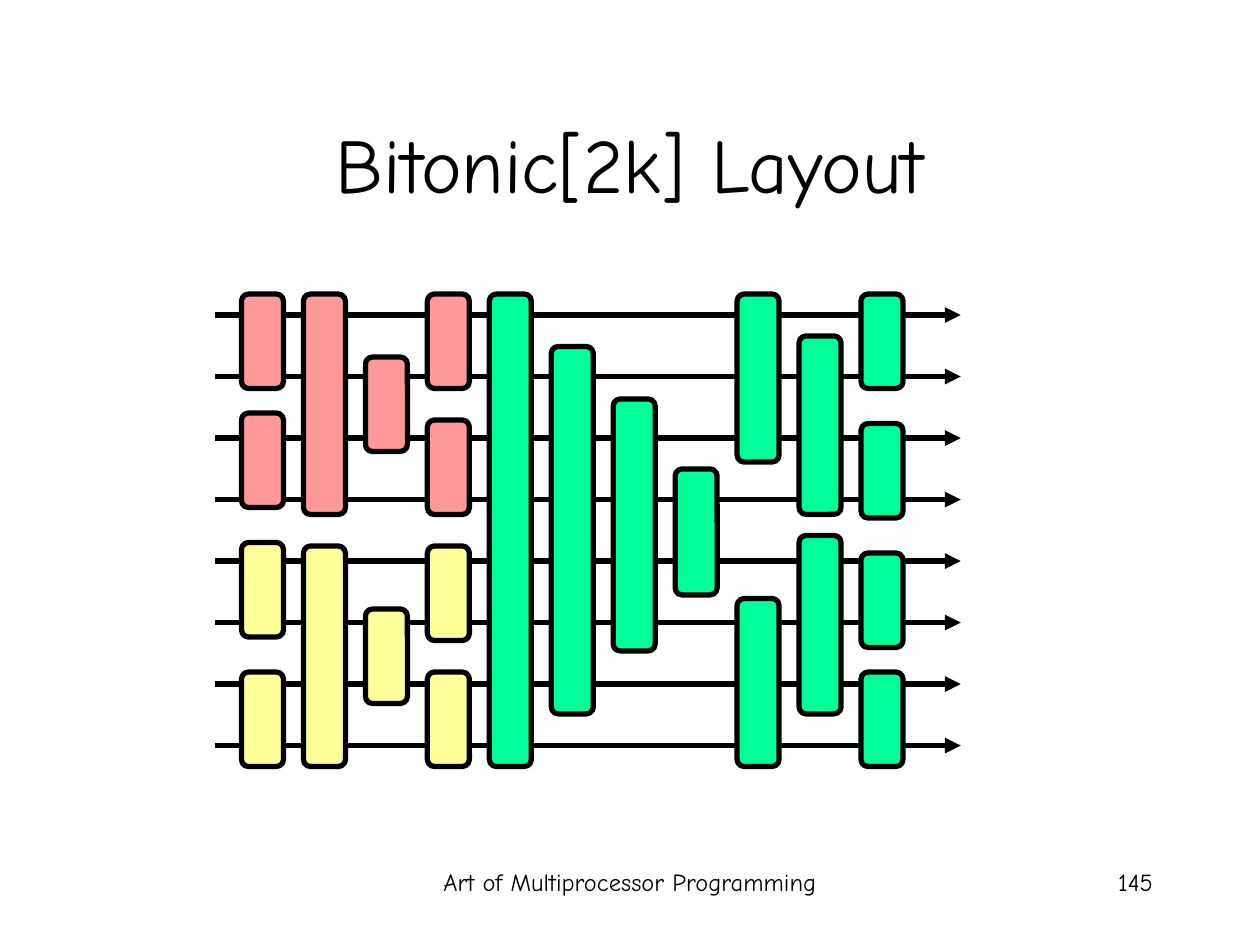
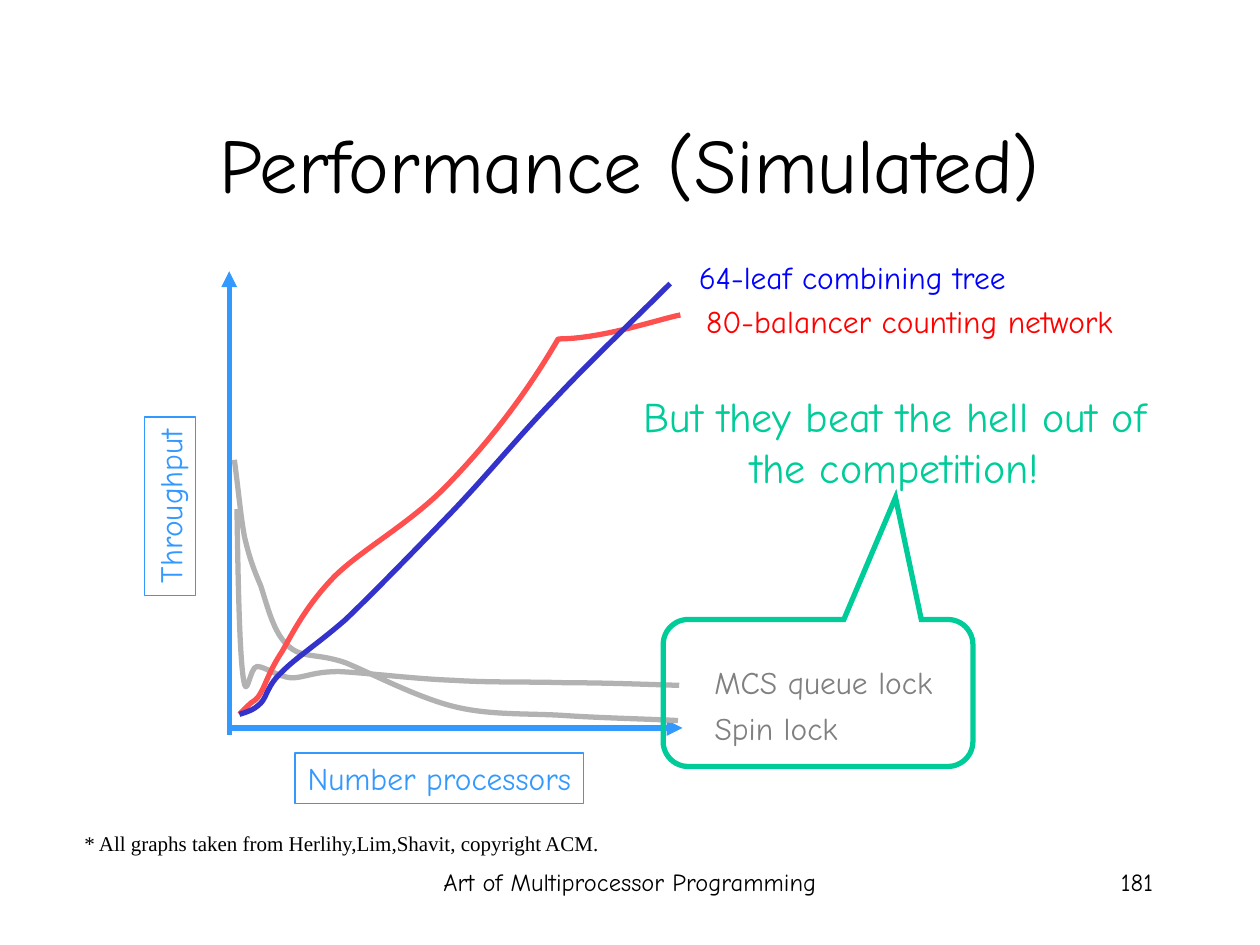
from dataclasses import dataclass
from typing import Any

from lxml import etree
from pptx import Presentation
from pptx.dml.color import RGBColor
from pptx.enum.shapes import MSO_CONNECTOR, MSO_SHAPE
from pptx.enum.text import MSO_ANCHOR, MSO_AUTO_SIZE, PP_ALIGN
from pptx.oxml.ns import qn
from pptx.util import Pt

LEFT, CENTER, RIGHT = PP_ALIGN.LEFT, PP_ALIGN.CENTER, PP_ALIGN.RIGHT
TOP, MIDDLE = MSO_ANCHOR.TOP, MSO_ANCHOR.MIDDLE
NO_AUTOFIT = MSO_AUTO_SIZE.NONE
STRAIGHT = MSO_CONNECTOR.STRAIGHT
ROUNDED = MSO_SHAPE.ROUNDED_RECTANGLE
CALLOUT = MSO_SHAPE.ROUNDED_RECTANGULAR_CALLOUT

COLORS = {
    "black": "000000",
    "first_half": "FF9999",
    "second_half": "FFFF99",
    "merger": "00FF99",
    "axis": "3399FF",
    "lock_curve": "B2B2B2",
    "lock_label": "808080",
    "network_curve": "FF5050",
    "network_label": "FF0000",
    "tree_curve": "3333CC",
    "tree_label": "0000FF",
    "remark": "00CC99",
}
HAND_FONT = "Comic Neue"
SERIF_FONT = "Times New Roman"
LINE_WIDTH = 3
TITLE_ONLY = 5
FOOTER = "Art of Multiprocessor Programming"

WIRE_COUNT, WIRE_TOP, WIRE_PITCH = 8, 180, 35.15
WIRE_START, WIRE_END = 123, 549
COLUMN_LEFT, COLUMN_PITCH, BALANCER_WIDTH = 138, 35.4, 24

Point = tuple[float, float]


@dataclass(frozen=True)
class Label:
    text: str
    left: float
    top: float
    width: float
    height: float
    size: float = 18
    color: str = "black"
    align: Any = CENTER
    font: str = HAND_FONT
    wrap: bool = False
    framed: bool = False
    rotation: float = 0


@dataclass(frozen=True)
class Balancer:
    column: int
    top: float
    height: float
    color: str


@dataclass(frozen=True)
class Curve:
    color: str
    points: tuple[Point, ...]


BALANCERS = [
    *(Balancer(0, top, 54, "first_half") for top in (168, 236)),
    *(Balancer(0, top, 54, "second_half") for top in (310, 384)),
    *(
        Balancer(column, top + offset, height, color)
        for top, color in ((168, "first_half"), (312, "second_half"))
        for column, offset, height in ((1, 0, 126), (2, 36, 54), (3, 0, 54), (3, 72, 54))
    ),
    *(
        Balancer(column, top, height, "merger")
        for column, top, height in (
            (4, 168, 270), (5, 198, 210), (6, 228, 144), (7, 268, 72),
            (8, 168, 96), (8, 342, 96), (9, 192, 102), (9, 306, 102),
            (10, 168, 54), (10, 242, 54), (10, 316, 54), (10, 384, 54),
        )
    ),
]

QUEUE_LOCK = Curve("lock_curve", (
    (135.4, 290.9),
    (136, 331.2), (136.8, 372.2), (139, 387.4),
    (141.1, 401.8), (142.6, 380.9), (146.9, 380.9),
    (151.2, 380.9), (158.4, 386.6), (166.3, 387.4),
    (174.2, 387.4), (178.6, 383.8), (193.7, 383.8),
    (209.5, 384.5), (237.6, 388.1), (259.2, 388.8),
    (280.8, 390.2), (301.7, 389.5), (323.3, 390.2),
    (344.2, 390.2), (366.5, 391), (388.1, 391.7),
))
SPIN_LOCK = Curve("lock_curve", (
    (133.9, 262.8),
    (136.1, 278.6), (137.5, 295.2), (139.7, 306.7),
    (142.6, 319), (144.7, 324.7), (149, 334.8),
    (152.6, 345.6), (156.2, 361.4), (164.2, 368.6),
    (172.1, 376.6), (180.7, 373), (197.3, 378.7),
    (213.1, 385.2), (239, 398.9), (259.9, 403.9),
    (280.8, 409), (303.1, 407.5), (324, 409),
    (344.9, 410.4), (376.6, 411.1), (387.4, 411.8),
))
COUNTING_NETWORK = Curve("network_curve", (
    (388.8, 180),
    (377.3, 182.2), (344.2, 193.7), (319, 193.7),
    (300.2, 226.1), (278.6, 253.4), (257, 275.8),
    (235.4, 298.8), (206.6, 313.9), (190.8, 329.8),
    (175, 346.3), (167.8, 360.7), (161.3, 372.2),
    (154.1, 383), (151.9, 391), (149, 396),
    (146.2, 401), (144.7, 400.3), (143.3, 401.8),
    (141.1, 403.9), (139, 406.1), (136.8, 408.2),
))
COMBINING_TREE = Curve("tree_curve", (
    (383, 162),
    (360.7, 184.3), (337.7, 205.9), (316.8, 228.2),
    (295.9, 249.8), (277.2, 272.9), (257, 293.8),
    (236.9, 314.6), (213.1, 339.1), (197.3, 354.2),
    (180.7, 368.6), (169.2, 375.8), (161.3, 383.8),
    (152.6, 391.7), (152.6, 398.2), (149, 401.8),
    (144.7, 406.1), (141.1, 406.8), (136.8, 408.2),
))

GRAPH_LABELS = [
    Label("* All graphs taken from Herlihy,Lim,Shavit, copyright ACM.",
          41.2, 471, 313, 21.6, size=12, align=LEFT, font=SERIF_FONT),
    Label("MCS queue lock", 401, 375.4, 139, 29, color="lock_label"),
    Label("Spin lock", 401, 401.4, 85, 29, color="lock_label"),
    Label("Number processors", 168.5, 430.2, 165, 29, color="axis", framed=True),
    Label("Throughput", 46.2, 274.8, 102, 29, color="axis", framed=True, rotation=270),
    Label("64-leaf combining tree", 392, 144, 190, 29, color="tree_label"),
    Label("80-balancer counting network", 396.2, 169.2, 247, 29, color="network_label"),
    Label("But they beat the hell out of the competition!",
          359.8, 219.8, 303, 65, size=24, color="remark", wrap=True),
]


def rgb(color: str) -> RGBColor:
    return RGBColor.from_string(COLORS[color])


def apply(target: Any, values: dict[str, Any]) -> None:
    for name, value in values.items():
        setattr(target, name, value)


def place(shape: Any, left: float, top: float, width: float, height: float) -> None:
    apply(shape, {"left": Pt(left), "top": Pt(top), "width": Pt(width), "height": Pt(height)})


def write(shape: Any, text: str, size: float, color: str, align: Any,
          font: str = HAND_FONT, wrap: bool = True, anchor: Any = TOP) -> None:
    frame = shape.text_frame
    apply(frame, {
        "word_wrap": wrap, "auto_size": NO_AUTOFIT, "vertical_anchor": anchor,
        "margin_left": Pt(7.2), "margin_right": Pt(7.2),
        "margin_top": Pt(3.6), "margin_bottom": Pt(3.6),
    })
    para = frame.paragraphs[0]
    para.alignment = align
    span = para.add_run()
    span.text = text
    apply(span.font, {"name": font, "size": Pt(size)})
    span.font.color.rgb = rgb(color)


def outline(shape: Any, color: str, width: float = LINE_WIDTH) -> None:
    shape.line.color.rgb = rgb(color)
    shape.line.width = Pt(width)


def add_label(page: Any, label: Label) -> None:
    box = page.shapes.add_textbox(
        Pt(label.left), Pt(label.top), Pt(label.width), Pt(label.height))
    box.rotation = label.rotation
    write(box, label.text, label.size, label.color, label.align, label.font, label.wrap)
    if label.framed:
        outline(box, label.color, 0.75)


def add_arrow(page: Any, start: Point, end: Point, color: str) -> None:
    arrow = page.shapes.add_connector(STRAIGHT, *(Pt(value) for value in (*start, *end)))
    outline(arrow, color)
    etree.SubElement(arrow.line._get_or_add_ln(), qn("a:tailEnd"), type="triangle")
    etree.SubElement(arrow._element.spPr, qn("a:effectLst"))


def add_balancer(page: Any, balancer: Balancer) -> None:
    left = COLUMN_LEFT + balancer.column * COLUMN_PITCH
    box = page.shapes.add_shape(
        ROUNDED, Pt(left), Pt(balancer.top), Pt(BALANCER_WIDTH), Pt(balancer.height))
    box.shadow.inherit = False
    box.fill.solid()
    box.fill.fore_color.rgb = rgb(balancer.color)
    outline(box, "black")


def add_curve(page: Any, curve: Curve) -> None:
    start, *controls = [(Pt(x), Pt(y)) for x, y in curve.points]
    builder = page.shapes.build_freeform(*start)
    builder.add_line_segments(controls, close=False)
    line = builder.convert_to_shape()
    track = next(line._element.iter(qn("a:path")))
    segments = track.findall(qn("a:lnTo"))
    for first in range(0, len(segments), 3):
        bend = etree.SubElement(track, qn("a:cubicBezTo"))
        for segment in segments[first:first + 3]:
            bend.append(segment[0])
            track.remove(segment)
    line.shadow.inherit = False
    line.fill.background()
    outline(line, curve.color)


def add_callout(page: Any) -> None:
    callout = page.shapes.add_shape(CALLOUT, Pt(379), Pt(354), Pt(177), Pt(84))
    for index, value in enumerate((0.25, -1.33, 0.17)):
        callout.adjustments[index] = value
    callout.shadow.inherit = False
    callout.fill.background()
    outline(callout, "remark")
    etree.SubElement(callout.line._get_or_add_ln(), qn("a:miter"), lim="800000")


def add_page(deck: Any, title: str, number: int) -> Any:
    page = deck.slides.add_slide(deck.slide_layouts[TITLE_ONLY])
    heading = page.shapes.title
    place(heading, 54, 48, 612, 90)
    write(heading, title, 44, "black", CENTER, anchor=MIDDLE)
    add_label(page, Label(FOOTER, 246, 492, 228, 36, size=14, wrap=True))
    add_label(page, Label(str(number), 516, 492, 150, 36, size=14, align=RIGHT, wrap=True))
    return page


def build_layout_page(deck: Any) -> None:
    page = add_page(deck, "Bitonic[2k] Layout", 145)
    for wire in range(WIRE_COUNT):
        y = WIRE_TOP + wire * WIRE_PITCH
        add_arrow(page, (WIRE_START, y), (WIRE_END, y), "black")
    for balancer in BALANCERS:
        add_balancer(page, balancer)


def build_performance_page(deck: Any) -> None:
    page = add_page(deck, "Performance (Simulated)", 181)
    add_arrow(page, (131, 420), (131, 155), "axis")
    add_arrow(page, (130.5, 416), (390, 416), "axis")
    for curve in (QUEUE_LOCK, SPIN_LOCK, COUNTING_NETWORK, COMBINING_TREE):
        add_curve(page, curve)
    add_callout(page)
    for label in GRAPH_LABELS:
        add_label(page, label)


def main() -> None:
    deck = Presentation()
    deck.slide_width, deck.slide_height = Pt(720), Pt(540)
    build_layout_page(deck)
    build_performance_page(deck)
    deck.save("out.pptx")


if __name__ == "__main__":
    main()
